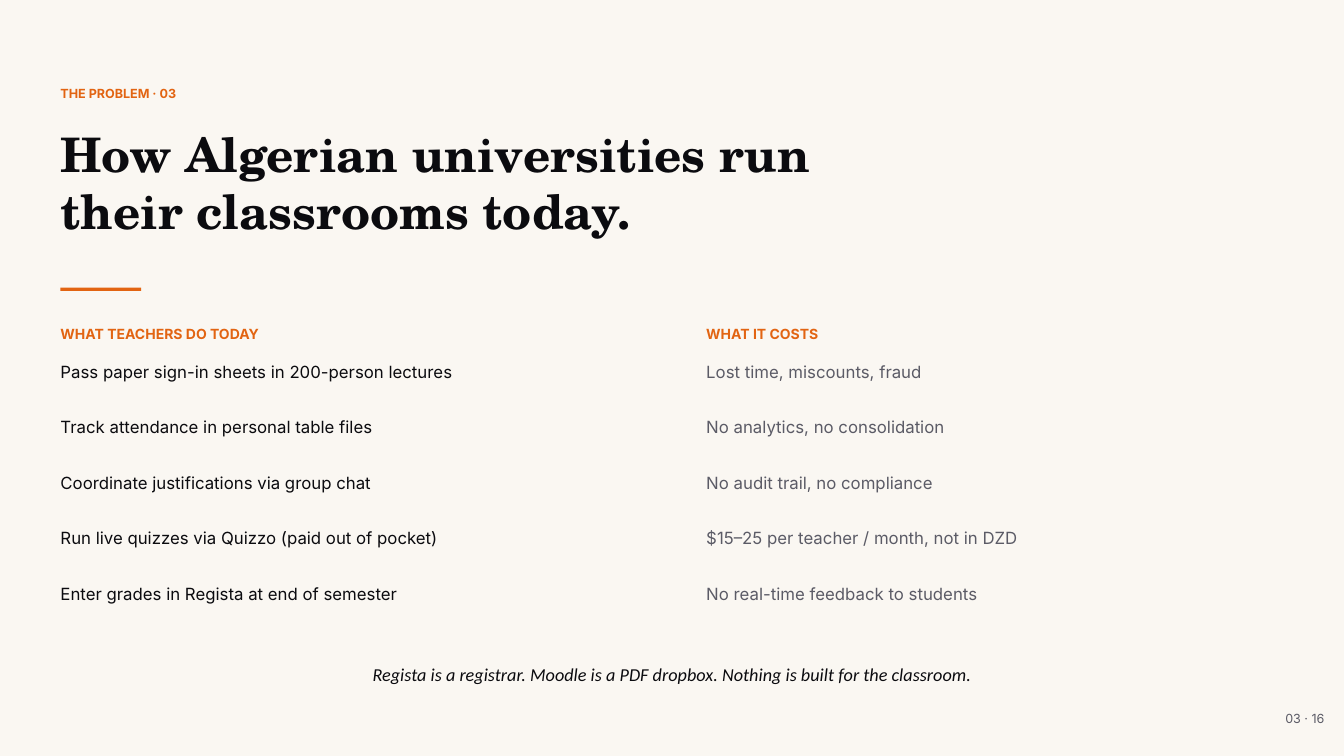
from pptx import Presentation
from pptx.dml.color import RGBColor
from pptx.enum.shapes import MSO_SHAPE as Shape
from pptx.enum.text import MSO_ANCHOR as Anchor, MSO_AUTO_SIZE as Fit, PP_ALIGN as Align
from pptx.util import Inches, Pt

WIDE, HIGH = 20, 11.25
LEFT, FULL = 0.9, 18.21
COLS, COL_WIDE = (LEFT, 10.51), 8.56
HEAD_TOP, ROW_TOP, ROW_STEP, ROW_HIGH = 4.84, 5.38, 0.825, 0.73
INK, GREY, ORANGE, CREAM = "0B0B0F", "5B5B66", "E26412", "FAF7F2"
SANS, SERIF, NOTE = "Inter", "TeX Gyre Schola", "Calibri"
LEADING = 1.2

HEADS = ("WHAT TEACHERS DO TODAY", "WHAT IT COSTS")
ROWS = (
    ("Pass paper sign-in sheets in 200-person lectures", "Lost time, miscounts, fraud"),
    ("Track attendance in personal table files", "No analytics, no consolidation"),
    ("Coordinate justifications via group chat", "No audit trail, no compliance"),
    ("Run live quizzes via Quizzo (paid out of pocket)", "$15–25 per teacher / month, not in DZD"),
    ("Enter grades in Regista at end of semester", "No real-time feedback to students"),
)


def tint(color):
    return RGBColor.from_string(color)


def place(shape, left, top, width, height):
    shape.left, shape.top = Inches(left), Inches(top)
    shape.width, shape.height = Inches(width), Inches(height)


def write(shape, lines, size, color, face=SANS, bold=False, italic=False, align=Align.LEFT):
    """Fill a shape's text frame with one paragraph per line."""
    frame = shape.text_frame
    frame.word_wrap = True
    frame.auto_size = Fit.NONE
    frame.vertical_anchor = Anchor.TOP
    frame.margin_left = frame.margin_right = frame.margin_top = frame.margin_bottom = 0
    for i, line in enumerate(lines):
        para = frame.add_paragraph() if i else frame.paragraphs[0]
        para.alignment = align
        para.line_spacing = Pt(size * LEADING)
        para.space_before = Pt(0)
        run = para.add_run()
        run.text = line
        font = run.font
        font.name, font.size = face, Pt(size)
        font.bold, font.italic = bold, italic
        font.color.rgb = tint(color)


def add_text(slide, box, line, size, color, **style):
    shape = slide.shapes.add_textbox(0, 0, 0, 0)
    place(shape, *box)
    write(shape, [line], size, color, **style)


def add_title(slide, box, lines):
    title = slide.shapes.title
    place(title, *box)
    write(title, lines, 51, INK, face=SERIF, bold=True)
    # Bring the title in front of the backdrop.
    slide.shapes.element.append(title.element)


def add_block(slide, box, color):
    block = slide.shapes.add_shape(Shape.RECTANGLE, 0, 0, 0, 0)
    place(block, *box)
    block.shadow.inherit = False
    block.fill.solid()
    block.fill.fore_color.rgb = tint(color)
    block.line.fill.background()


def add_pairs(slide):
    """Set the two headed columns of practices and their costs."""
    for left, head in zip(COLS, HEADS):
        add_text(slide, (left, HEAD_TOP, COL_WIDE, 0.36), head, 15, ORANGE, bold=True)
    for i, row in enumerate(ROWS):
        top = ROW_TOP + i * ROW_STEP
        for left, line, color in zip(COLS, row, (INK, GREY)):
            add_text(slide, (left, top, COL_WIDE, ROW_HIGH), line, 18, color)


def main():
    deck = Presentation()
    deck.slide_width, deck.slide_height = Inches(WIDE), Inches(HIGH)
    slide = deck.slides.add_slide(deck.slide_layouts.get_by_name("Title Only"))

    add_block(slide, (0, 0, WIDE, HIGH), CREAM)
    add_text(slide, (18.21, 10.58, 1.5, 0.45), "03 · 16", 13.5, GREY, align=Align.RIGHT)
    add_text(slide, (LEFT, 1.28, FULL, 0.45), "THE PROBLEM · 03", 13.5, ORANGE, bold=True)
    add_title(slide, (LEFT, 1.86, FULL, 2.15),
              ["How Algerian universities run", "their classrooms today."])
    add_block(slide, (LEFT, 4.28, 1.2, 0.05), ORANGE)
    add_pairs(slide)
    add_text(slide, (LEFT, 9.87, FULL, 0.51),
             "Regista is a registrar. Moodle is a PDF dropbox. Nothing is built for the classroom.",
             19.5, INK, face=NOTE, italic=True, align=Align.CENTER)
    deck.save("out.pptx")


if __name__ == "__main__":
    main()
